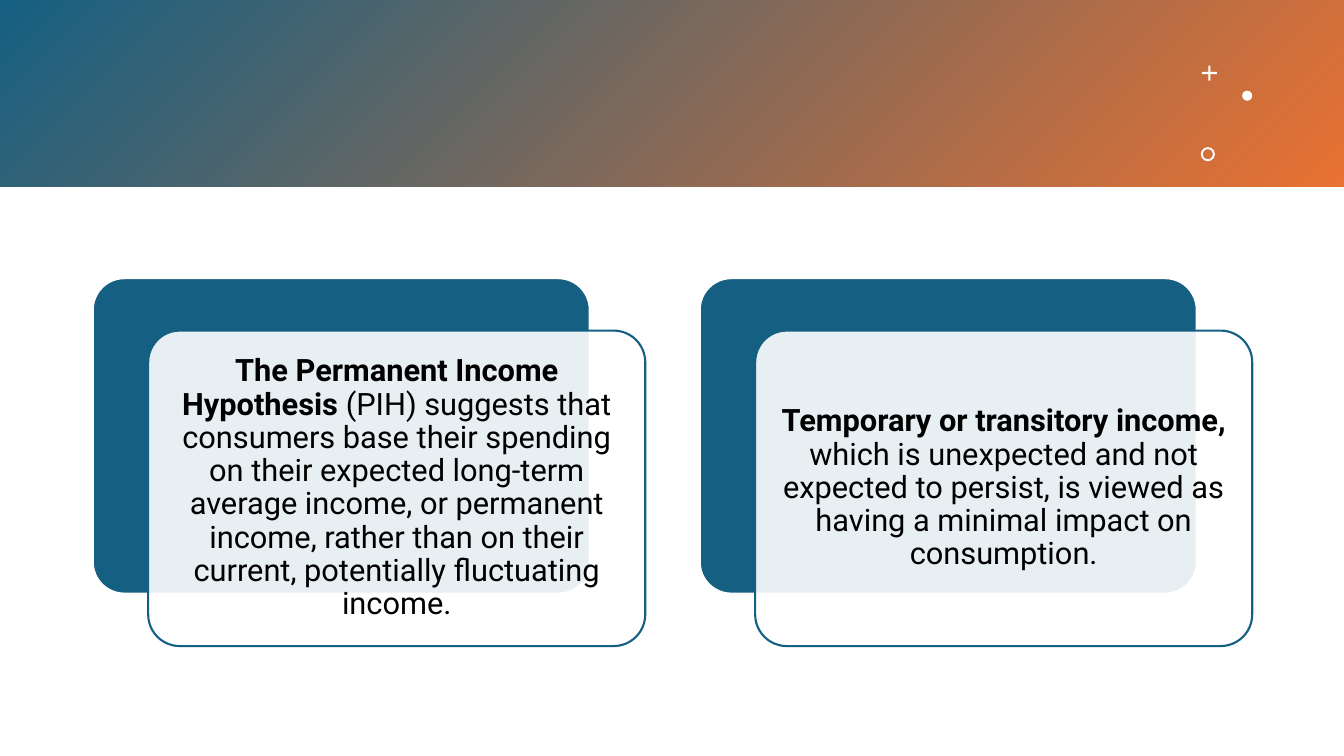
from lxml import etree
from pptx import Presentation
from pptx.dml.color import RGBColor
from pptx.enum.shapes import MSO_SHAPE as SHAPE
from pptx.enum.text import MSO_ANCHOR as ANCHOR, PP_ALIGN as ALIGN
from pptx.oxml.ns import qn
from pptx.util import Inches, Pt

BLUE, ORANGE, WHITE, BLACK = "156082", "E97132", "FFFFFF", "000000"
FONT = "Roboto"
CARD_W, CARD_H = 4.93, 3.13
CARD_LEFT, CARD_TOP, CARD_STEP = 0.92, 2.76, 6.02
OFFSET_X, OFFSET_Y = 0.55, 0.52
TEXT_INSET = 0.09

CARDS = [
    ("The Permanent Income Hypothesis ",
     "(PIH) suggests that consumers base their spending on their expected "
     "long-term average income, or permanent income, rather than on their "
     "current, potentially fluctuating income."),
    ("Temporary or transitory income, ",
     "which is unexpected and not expected to persist, is viewed as having "
     "a minimal impact on consumption."),
]


def color(value):
    return RGBColor.from_string(value)


def add_shape(s, kind, x, y, w, h, fill=None, line=None, adj=None, alpha=None):
    """Add a preset shape; alpha is the opacity of its fill in percent."""
    sp = s.shapes.add_shape(kind, Inches(x), Inches(y), Inches(w), Inches(h))
    sp.shadow.inherit = False
    if fill:
        sp.fill.solid()
        sp.fill.fore_color.rgb = color(fill)
    if line:
        sp.line.color.rgb = color(line)
        sp.line.width = Pt(1.5)
    else:
        sp.line.fill.background()
    if adj is not None:
        sp.adjustments[0] = adj
    if alpha is not None:
        rgb = sp.fill._xPr.find(qn("a:solidFill")).find(qn("a:srgbClr"))
        etree.SubElement(rgb, qn("a:alpha")).set("val", str(alpha * 1000))
    return sp


def add_run(p, text, size=22, bold=False, fill=BLACK):
    r = p.add_run()
    r.text = text
    r.font.name = FONT
    r.font.size = Pt(size)
    r.font.bold = bold
    r.font.color.rgb = color(fill)


def add_banner(s):
    banner = add_shape(s, SHAPE.RECTANGLE, 0, 0, 13.33, 1.85)
    banner.fill.gradient()
    banner.fill.gradient_angle = 315
    for stop, value, position in zip(banner.fill.gradient_stops,
                                     (BLUE, ORANGE), (0, 1)):
        stop.color.rgb = color(value)
        stop.position = position
    add_shape(s, SHAPE.CROSS, 11.92, 0.65, 0.15, 0.15, WHITE, adj=0.43)
    add_shape(s, SHAPE.OVAL, 12.32, 0.9, 0.1, 0.1, WHITE)
    add_shape(s, SHAPE.DONUT, 11.91, 1.46, 0.14, 0.14, WHITE, adj=0.14)


def add_card(s, x, y, term, explanation):
    add_shape(s, SHAPE.ROUNDED_RECTANGLE, x, y, CARD_W, CARD_H,
              BLUE, WHITE, adj=0.1)
    x, y = x + OFFSET_X, y + OFFSET_Y
    add_shape(s, SHAPE.ROUNDED_RECTANGLE, x, y, CARD_W, CARD_H,
              WHITE, BLUE, adj=0.1, alpha=90)
    box = s.shapes.add_textbox(
        Inches(x + TEXT_INSET), Inches(y + TEXT_INSET),
        Inches(CARD_W - 2 * TEXT_INSET), Inches(CARD_H - 2 * TEXT_INSET))
    tf = box.text_frame
    tf.word_wrap = True
    tf.vertical_anchor = ANCHOR.MIDDLE
    tf.margin_left = tf.margin_right = Inches(TEXT_INSET)
    tf.margin_top = tf.margin_bottom = Inches(TEXT_INSET)
    p = tf.paragraphs[0]
    p.alignment = ALIGN.CENTER
    p.line_spacing = 0.9
    add_run(p, term, bold=True)
    add_run(p, explanation)


def main():
    prs = Presentation()
    prs.slide_width, prs.slide_height = Inches(13.33), Inches(7.5)
    s = prs.slides.add_slide(prs.slide_layouts[6])
    add_banner(s)
    for i, (term, explanation) in enumerate(CARDS):
        add_card(s, CARD_LEFT + i * CARD_STEP, CARD_TOP, term, explanation)
    prs.save("out.pptx")


if __name__ == "__main__":
    main()
